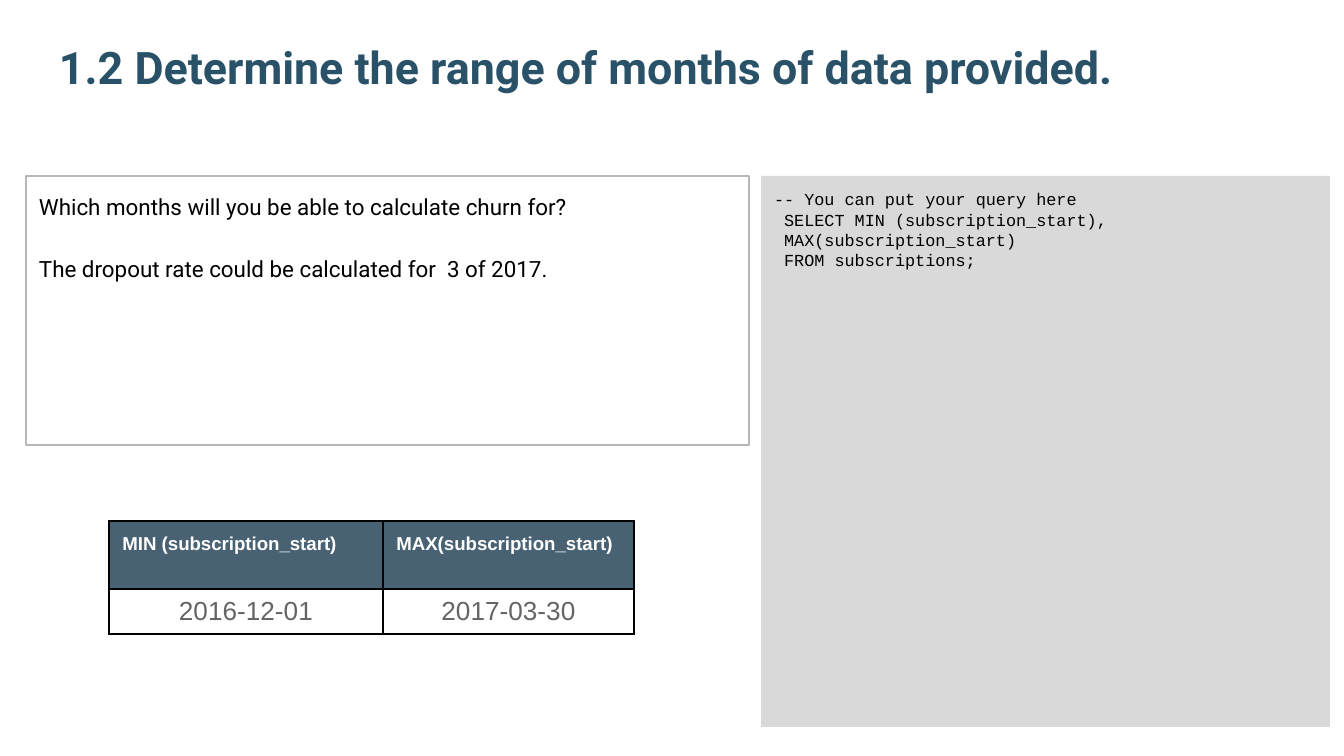
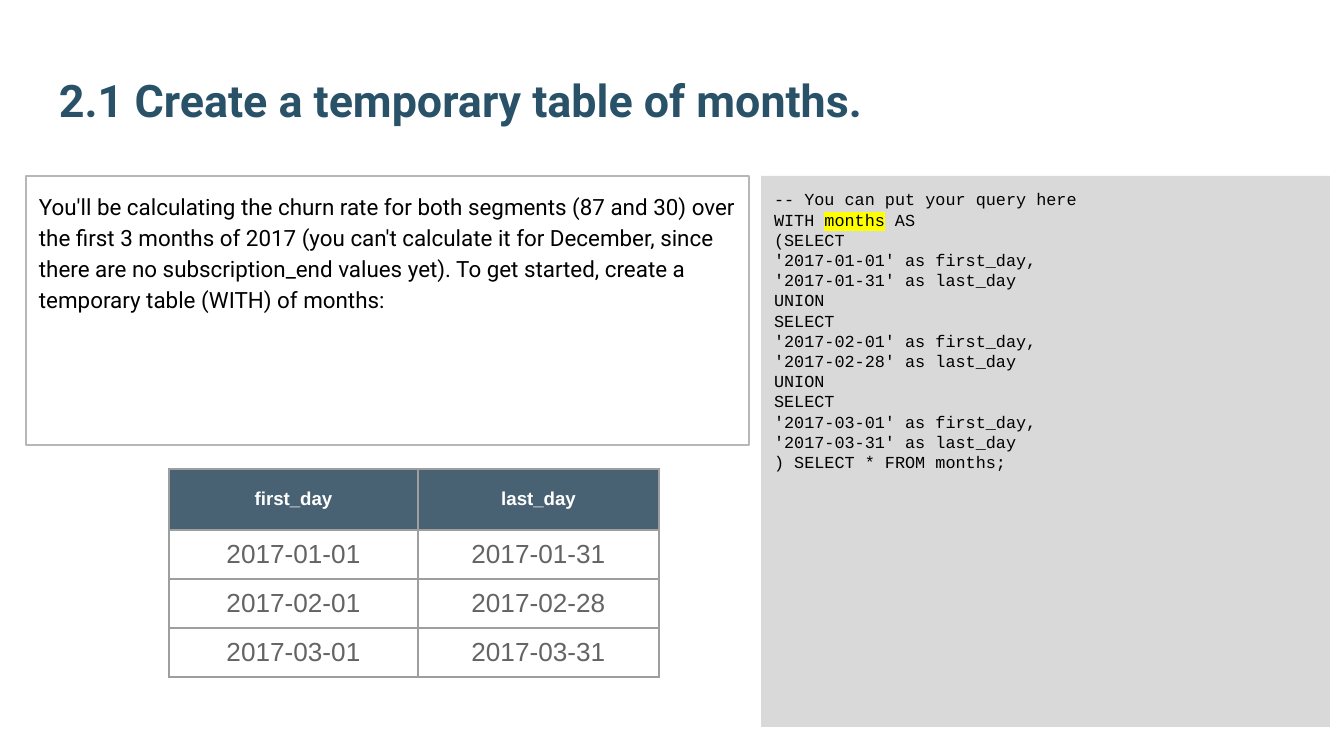
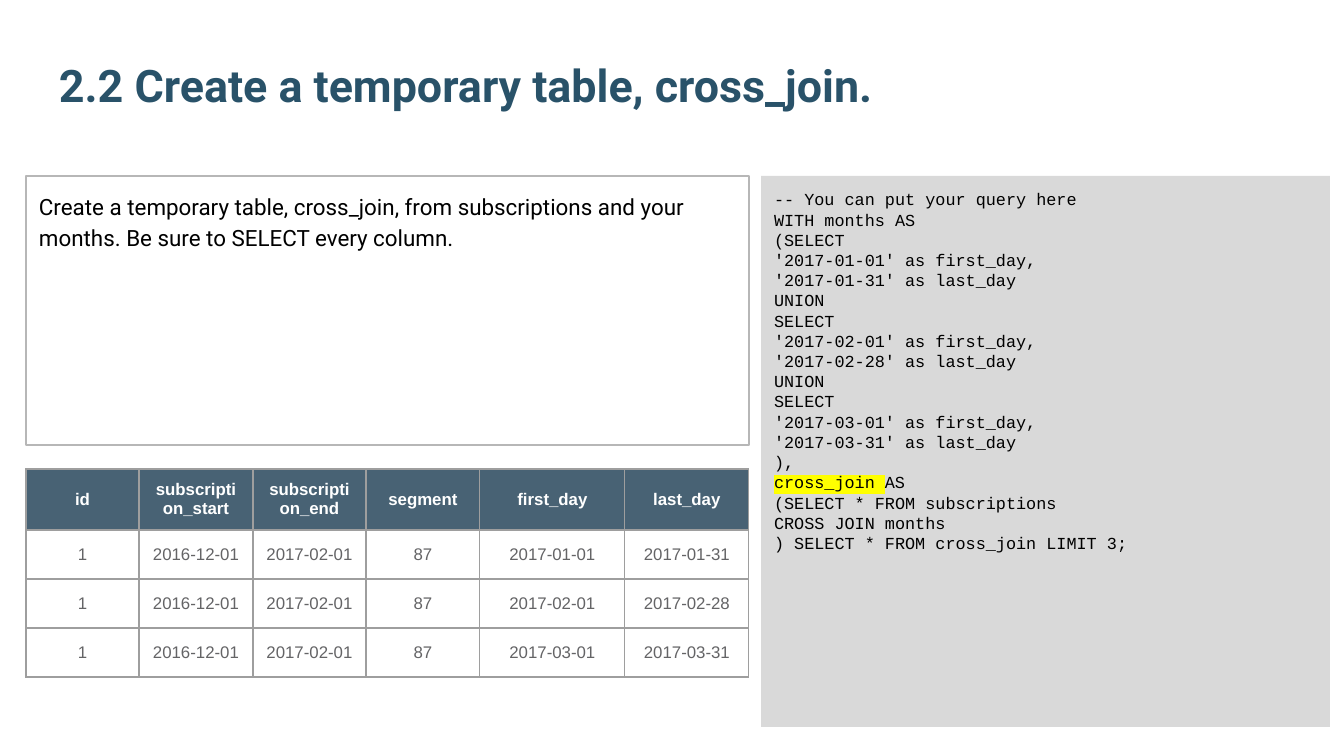
from pptx import Presentation
from pptx.dml.color import RGBColor
from pptx.enum.shapes import MSO_SHAPE
from pptx.enum.text import MSO_ANCHOR, PP_ALIGN
from pptx.oxml import parse_xml
from pptx.oxml.ns import nsdecls
from pptx.util import Emu, Pt

SCALE = 914400 / 134.4
PAD = 13
NAVY, HEAD, GREY, EDGE = "295269", "204056", "D9D9D9", "B7B7B7"
BLACK, WHITE, BODY, RULE, GLOW = "000000", "FFFFFF", "646466", "9E9E9E", "FFFF00"
NOTE_BOX = (26, 176, 723, 269)
CODE_BOX = (761, 176, 569, 551)

START = "-- You can put your query here\n"
SPANS = [("2017-01-01", "2017-01-31"), ("2017-02-01", "2017-02-28"),
         ("2017-03-01", "2017-03-31")]
MONTHS = START + "WITH months AS\n(" + "\nUNION\n".join(
    f"SELECT\n'{first}' as first_day,\n'{last}' as last_day" for first, last in SPANS)


def px(size):
    """Turn px into EMU."""
    return Emu(round(size * SCALE))


def color(code):
    """Turn a hex string into a colour."""
    return RGBColor.from_string(code)


def style(frame, font, size, ink, bold=False):
    """Format every run of a text frame."""
    for para in frame.paragraphs:
        for run in para.runs:
            run.font.name = font
            run.font.size = Pt(size)
            run.font.bold = bold
            run.font.color.rgb = color(ink)


def inset(frame):
    """Wrap a frame and give it equal margins."""
    frame.word_wrap = True
    frame.margin_left = frame.margin_right = px(PAD)
    frame.margin_top = frame.margin_bottom = px(PAD)


def add_title(slide, text, base):
    """Place a title whose box ends at the given base."""
    height = 124
    box = slide.shapes.add_textbox(*map(px, (46, base - height, 1253, height)))
    frame = box.text_frame
    inset(frame)
    frame.vertical_anchor = MSO_ANCHOR.BOTTOM
    frame.text = text
    style(frame, "Roboto", 24, NAVY, True)


def add_panel(slide, box, text, fill=None, line=None):
    """Place a panel with text at its top left and return its frame."""
    panel = slide.shapes.add_shape(MSO_SHAPE.RECTANGLE, *map(px, box))
    panel.shadow.inherit = False
    if fill:
        panel.fill.solid()
        panel.fill.fore_color.rgb = color(fill)
    else:
        panel.fill.background()
    if line:
        panel.line.color.rgb = color(line)
        panel.line.width = Pt(0.75)
    else:
        panel.line.fill.background()
    frame = panel.text_frame
    inset(frame)
    frame.vertical_anchor = MSO_ANCHOR.TOP
    frame.text = text
    for para in frame.paragraphs:
        para.alignment = PP_ALIGN.LEFT
    return frame


def add_note(slide, box, text):
    """Place the outlined note."""
    frame = add_panel(slide, box, text, line=EDGE)
    for index, para in enumerate(frame.paragraphs):
        para.line_spacing = 1.15
        if index:
            para.space_before = Pt(16.5)
    style(frame, "Roboto", 12, BLACK)


def add_code(slide, box, text, mark):
    """Place the query and highlight the first use of the mark."""
    frame = add_panel(slide, box, text, fill=GREY)
    if mark:
        para = next(para for para in frame.paragraphs if mark in para.text)
        parts = para.text.partition(mark)
        para.clear()
        for part in filter(None, parts):
            para.add_run().text = part
    style(frame, "Courier New", 9, BLACK)
    if mark:
        run = next(run for run in para.runs if run.text == mark)
        glow = parse_xml(f'<a:highlight {nsdecls("a")}><a:srgbClr val="{GLOW}"/></a:highlight>')
        run.font.fill._xPr.find("{*}solidFill").addnext(glow)


def edge_cell(cell, ink, width):
    """Draw the four borders of a cell."""
    props = cell._tc.get_or_add_tcPr()
    for side in "LRTB":
        props.append(parse_xml(
            f'<a:ln{side} {nsdecls("a")} w="{Pt(width)}"><a:solidFill>'
            f'<a:srgbClr val="{ink}"/></a:solidFill></a:ln{side}>'))


def fill_head(cell):
    """Fill a header cell with the translucent header colour."""
    cell.fill.solid()
    cell.fill.fore_color.rgb = color(HEAD)
    tint = cell._tc.tcPr.find("{*}solidFill")[0]
    tint.append(parse_xml(f'<a:alpha {nsdecls("a")} val="82000"/>'))


def add_grid(slide, spot, cols, rows, data, sizes, edge=(RULE, 0.75), top=False):
    """Place a table with a dark header row."""
    box = (*spot, sum(cols), sum(rows))
    grid = slide.shapes.add_table(len(rows), len(cols), *map(px, box)).table
    grid.first_row = grid.horz_banding = False
    for col, width in zip(grid.columns, cols):
        col.width = px(width)
    for index, (row, height, words) in enumerate(zip(grid.rows, rows, data)):
        row.height = px(height)
        head = index == 0
        for cell, word in zip(row.cells, words):
            cell.text = word
            edge_cell(cell, *edge)
            if head:
                fill_head(cell)
            else:
                cell.fill.background()
            if head and top:
                cell.margin_top = cell.margin_bottom = px(PAD)
                cell.vertical_anchor = MSO_ANCHOR.TOP
            else:
                cell.vertical_anchor = MSO_ANCHOR.MIDDLE
                cell.text_frame.paragraphs[0].alignment = PP_ALIGN.CENTER
            style(cell.text_frame, "Arial", sizes[0 if head else 1],
                  WHITE if head else BODY, head)


def add_page(deck, title, base, note, code, mark=None):
    """Add a slide with its title, query and note."""
    slide = deck.slides.add_slide(deck.slide_layouts[6])
    add_title(slide, title, base)
    add_code(slide, CODE_BOX, code, mark)
    add_note(slide, NOTE_BOX, note)
    return slide


def main():
    """Build the deck."""
    deck = Presentation()
    deck.slide_width, deck.slide_height = px(1344), px(756)
    tall = [61] + [49] * 3

    slide = add_page(
        deck, "1.2 Determine the range of months of data provided.", 106,
        "Which months will you be able to calculate churn for?\n"
        "The dropout rate could be calculated for  3 of 2017.",
        START + " SELECT MIN (subscription_start),\n MAX(subscription_start)\n"
        " FROM subscriptions;")
    add_grid(slide, (109, 521), [274, 251], [68, 43],
             [("MIN (subscription_start)", "MAX(subscription_start)"),
              ("2016-12-01", "2017-03-30")], (10, 14), (BLACK, 1), True)

    slide = add_page(
        deck, "2.1 Create a temporary table of months.", 140,
        "You'll be calculating the churn rate for both segments (87 and 30) over the "
        "first 3 months of 2017 (you can't calculate it for December, since there are "
        "no subscription_end values yet). To get started, create a temporary table "
        "(WITH) of months:",
        MONTHS + "\n) SELECT * FROM months;", "months")
    add_grid(slide, (169, 469), [249, 241], tall,
             [("first_day", "last_day"), *SPANS], (10, 14))

    slide = add_page(
        deck, "2.2 Create a temporary table, cross_join.", 124,
        "Create a temporary table, cross_join, from subscriptions and your months. "
        "Be sure to SELECT every column.",
        MONTHS + "\n),\ncross_join AS\n(SELECT * FROM subscriptions\n"
        "CROSS JOIN months\n) SELECT * FROM cross_join LIMIT 3;", "cross_join ")
    names = ("id", "subscription_start", "subscription_end", "segment",
             "first_day", "last_day")
    lines = [("1", "2016-12-01", "2017-02-01", "87", *span) for span in SPANS]
    add_grid(slide, (26, 469), [113, 114, 113, 114, 145, 124], tall,
             [names, *lines], (9, 9))

    deck.save("out.pptx")


if __name__ == "__main__":
    main()
